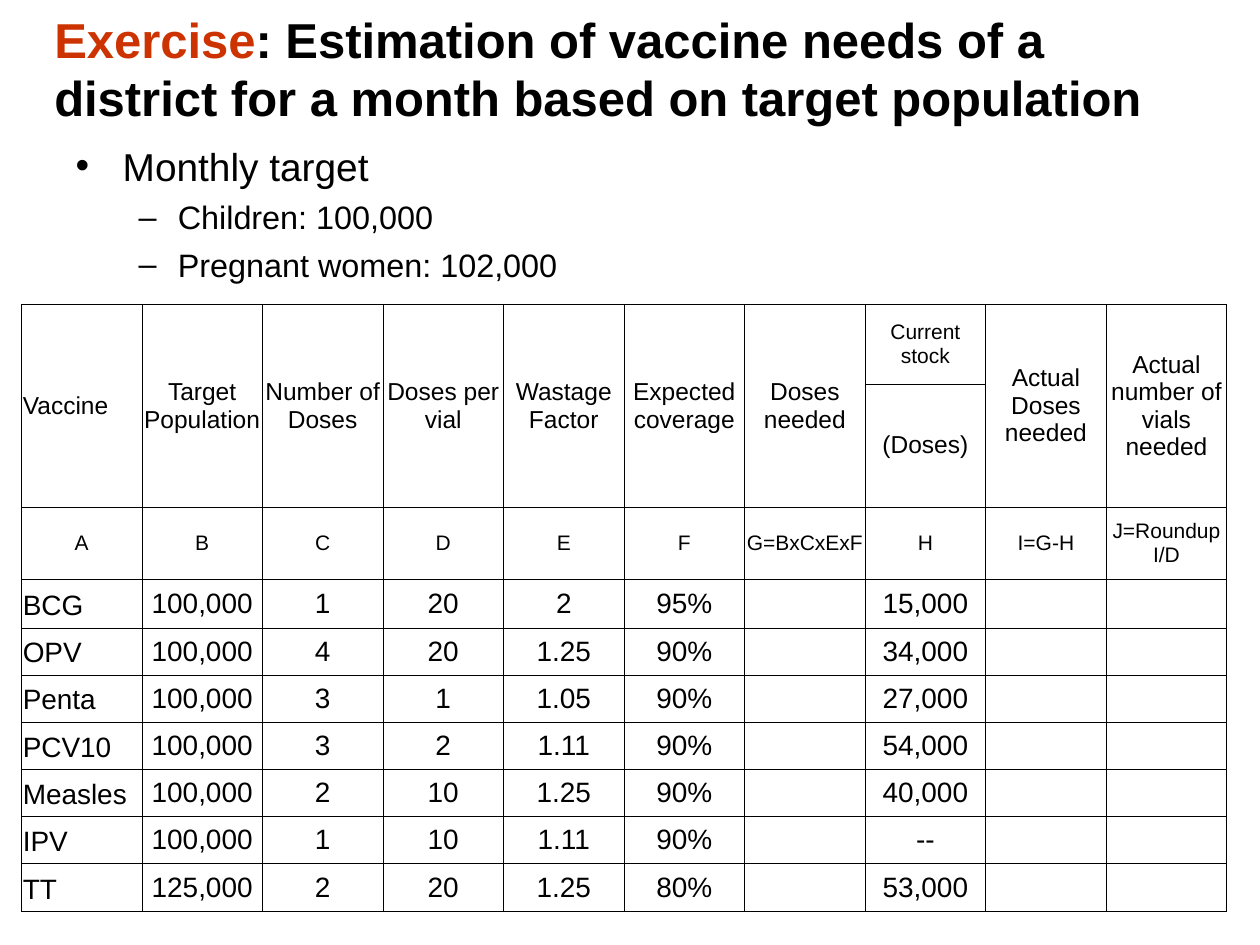
"""Build a slide with a vaccine needs exercise: title, monthly targets and worksheet table."""
from lxml.etree import SubElement
from pptx import Presentation
from pptx.dml.color import RGBColor
from pptx.enum.text import MSO_ANCHOR, MSO_AUTO_SIZE, PP_ALIGN
from pptx.oxml.ns import qn
from pptx.util import Cm, Pt

BLACK = RGBColor(0x00, 0x00, 0x00)
RUST = RGBColor(0xCC, 0x33, 0x00)
FONT = "Arial"

TITLE = [
    ("Exercise", RUST),
    (": Estimation of vaccine needs of a district for a month based on target population", BLACK),
]
TARGETS = [("Monthly target", 0), ("Children: 100,000", 1), ("Pregnant women: 102,000", 1)]
TARGET_LEVELS = [
    {"size": 22.2, "before": 6, "left": 0.95, "hanging": 0.95},
    {"size": 18.5, "before": 5, "left": 2.06, "hanging": 0.79},
]

HEADINGS = ["Vaccine", "Target Population", "Number of Doses", "Doses per vial",
            "Wastage Factor", "Expected coverage", "Doses needed", "Current stock",
            "Actual Doses needed", "Actual number of vials needed"]
STOCK_COLUMN = HEADINGS.index("Current stock")
STOCK_UNIT = "(Doses)"
FORMULAS = ["A", "B", "C", "D", "E", "F", "G=BxCxExF", "H", "I=G-H", "J=Roundup I/D"]
VACCINES = [
    ("BCG", "100,000", "1", "20", "2", "95%", "", "15,000", "", ""),
    ("OPV", "100,000", "4", "20", "1.25", "90%", "", "34,000", "", ""),
    ("Penta", "100,000", "3", "1", "1.05", "90%", "", "27,000", "", ""),
    ("PCV10", "100,000", "3", "2", "1.11", "90%", "", "54,000", "", ""),
    ("Measles", "100,000", "2", "10", "1.25", "90%", "", "40,000", "", ""),
    ("IPV", "100,000", "1", "10", "1.11", "90%", "", "--", "", ""),
    ("TT", "125,000", "2", "20", "1.25", "80%", "", "53,000", "", ""),
]
ROW_HEIGHTS = [1.6, 2.48, 1.45, 0.99] + [0.95] * 5 + [0.97]
COLUMN_WIDTH = 2.43


def add_text(paragraph, text, size, color=BLACK, bold=False, align=PP_ALIGN.LEFT):
    run = paragraph.add_run()
    run.text = text
    run.font.name = FONT
    run.font.size = Pt(size)
    run.font.bold = bold
    run.font.color.rgb = color
    paragraph.alignment = align


def place(holder, left, top, width, height, anchor):
    holder.left, holder.top, holder.width, holder.height = map(Cm, (left, top, width, height))
    frame = holder.text_frame
    frame.word_wrap = True
    frame.auto_size = MSO_AUTO_SIZE.NONE
    frame.vertical_anchor = anchor
    return frame


def add_borders(cell):
    properties = cell._tc.get_or_add_tcPr()
    for position, side in enumerate(("a:lnL", "a:lnR", "a:lnT", "a:lnB")):
        border = SubElement(properties, qn(side), w=str(Pt(0.45)))
        fill = SubElement(border, qn("a:solidFill"))
        SubElement(fill, qn("a:srgbClr"), val=str(BLACK))
        properties.insert(position, border)


def fill_cell(cell, text, size, align=PP_ALIGN.CENTER, anchor=MSO_ANCHOR.MIDDLE):
    cell.margin_left = cell.margin_right = Cm(0.03)
    cell.margin_top = cell.margin_bottom = Cm(0.13 if text else 0)
    cell.vertical_anchor = anchor
    if text:
        add_text(cell.text_frame.paragraphs[0], text, size, align=align)


def add_title(slide):
    frame = place(slide.shapes.title, 0.84, 0.2, 23.5, 2.34, MSO_ANCHOR.MIDDLE)
    for text, color in TITLE:
        add_text(frame.paragraphs[0], text, 28, color=color, bold=True)


def add_targets(slide):
    frame = place(slide.placeholders[1], 1.27, 2.74, 22.86, 3.18, MSO_ANCHOR.TOP)
    for index, (text, level) in enumerate(TARGETS):
        target = frame.add_paragraph() if index else frame.paragraphs[0]
        style = TARGET_LEVELS[level]
        target.level = level
        target.space_before = Pt(style["before"])
        add_text(target, text, style["size"])
        properties = target._p.get_or_add_pPr()
        properties.set("marL", str(Cm(style["left"])))
        properties.set("indent", str(-Cm(style["hanging"])))


def add_worksheet(slide):
    columns = len(HEADINGS)
    worksheet = slide.shapes.add_table(
        len(ROW_HEIGHTS), columns, Cm(0.43), Cm(6.14),
        Cm(COLUMN_WIDTH * columns), Cm(sum(ROW_HEIGHTS))).table
    worksheet.first_row = worksheet.horz_banding = False
    for row, height in zip(worksheet.rows, ROW_HEIGHTS):
        row.height = Cm(height)
    for column in worksheet.columns:
        column.width = Cm(COLUMN_WIDTH)
    for cell in worksheet.iter_cells():
        cell.fill.background()
        add_borders(cell)

    for column, heading in enumerate(HEADINGS):
        cell = worksheet.cell(0, column)
        if column != STOCK_COLUMN:
            cell.merge(worksheet.cell(1, column))
        fill_cell(cell, heading, 12 if column == STOCK_COLUMN else 14,
                  align=PP_ALIGN.CENTER if column else PP_ALIGN.LEFT)
        fill_cell(worksheet.cell(2, column), FORMULAS[column], 12)
    fill_cell(worksheet.cell(1, STOCK_COLUMN), STOCK_UNIT, 14)

    for row, (vaccine, *values) in enumerate(VACCINES, start=3):
        fill_cell(worksheet.cell(row, 0), vaccine, 16, PP_ALIGN.LEFT, MSO_ANCHOR.BOTTOM)
        for column, value in enumerate(values, start=1):
            fill_cell(worksheet.cell(row, column), value, 16)


def main():
    deck = Presentation()
    deck.slide_width, deck.slide_height = Cm(25.4), Cm(19.05)
    slide = deck.slides.add_slide(deck.slide_layouts[1])
    add_title(slide)
    add_targets(slide)
    add_worksheet(slide)
    deck.save("out.pptx")


if __name__ == "__main__":
    main()
